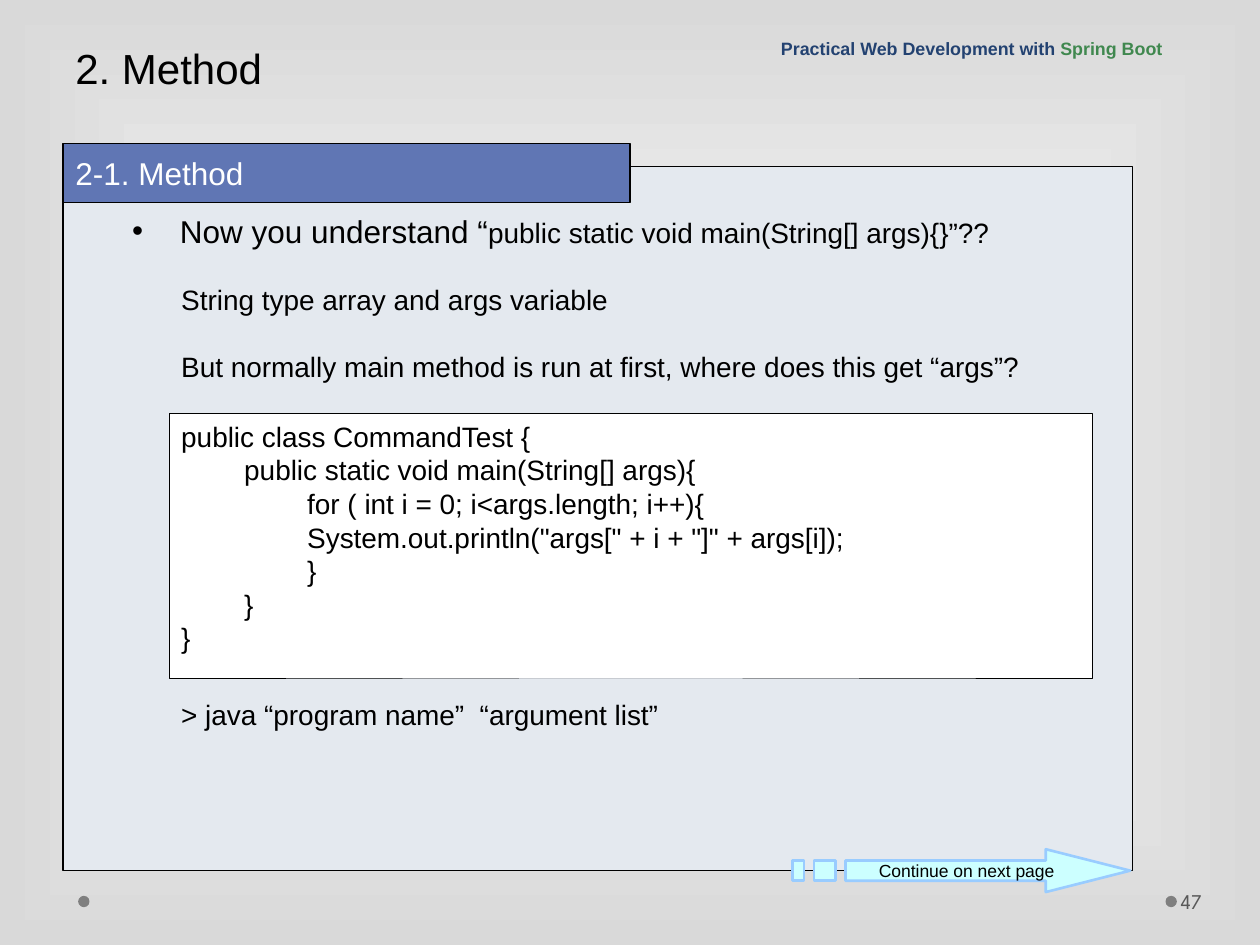
from lxml import etree
from pptx import Presentation
from pptx.dml.color import RGBColor
from pptx.enum.shapes import MSO_SHAPE
from pptx.enum.text import MSO_ANCHOR, PP_ALIGN
from pptx.oxml.ns import qn
from pptx.util import Inches, Pt

RECTANGLE, OVAL = MSO_SHAPE.RECTANGLE, MSO_SHAPE.OVAL
TOP, MIDDLE, BOTTOM = MSO_ANCHOR.TOP, MSO_ANCHOR.MIDDLE, MSO_ANCHOR.BOTTOM
LEFT, CENTER = PP_ALIGN.LEFT, PP_ALIGN.CENTER

THEME = {
    "font": "Arial", "number_font": "League Spartan",
    "black": "000000", "white": "FFFFFF", "edge": "D9D9D9",
    "dot": "7F7F7F", "number": "595959", "panel": "E4E9EF", "banner": "6076B4",
    "course": "234271", "framework": "40884F",
    "arrow": "CCFFFF", "arrow_line": "99CCFF",
    "title_size": 24, "heading_size": 18, "body_size": 16,
    "number_size": 12, "course_size": 10.2, "arrow_size": 10,
    "leading": 1.2,
}

TITLE = "2. Method"
HEADING = "2-1. Method"
PAGE_NUMBER = "47"
COURSE = [("Practical Web Development with ", "course"), ("Spring Boot", "framework")]
QUESTION = [("Now you understand “", "heading_size"),
            ("public static void main(String[] args){}”??", "body_size")]
NOTES = ["String type array and args variable",
         "But normally main method is run at first, where does this get “args”?"]
CODE = [
    "public class CommandTest {",
    "\tpublic static void main(String[] args){",
    "\t\tfor ( int i = 0; i<args.length; i++){",
    "\t\tSystem.out.println(\"args[\" + i + \"]\" + args[i]);",
    "\t\t}",
    "\t}",
    "}",
]
COMMAND = "> java “program name”  “argument list”"
CONTINUE = "Continue on next page"

DOT_LEFTS = [0.62, 9.25]
ARROW_HEAD = [(8.3, 6.74), (8.3, 6.83), (6.71, 6.83), (6.71, 6.99),
              (8.3, 6.99), (8.3, 7.08), (8.97, 6.91)]
ARROW_STRIPES = [(6.46, 6.63), (6.29, 6.38)]
STRIPE_TOP, STRIPE_BOTTOM = 6.83, 6.99


def color(name):
    return RGBColor.from_string(THEME[name])


def paint(shape, fill, line=None, width=0.75):
    shape.shadow.inherit = False
    shape.fill.solid()
    shape.fill.fore_color.rgb = color(fill)
    if line:
        shape.line.color.rgb = color(line)
        shape.line.width = Pt(width)
    else:
        shape.line.fill.background()
    return shape


def add_panel(page, kind, at, *style):
    return paint(page.shapes.add_shape(kind, *map(Inches, at)), *style)


def add_box(page, *at):
    return page.shapes.add_textbox(*map(Inches, at))


def style_span(span, size, tint="black", font="font", bold=False):
    span.font.name = THEME[font]
    span.font.size = Pt(THEME[size])
    span.font.color.rgb = color(tint)
    span.font.bold = bold


def write(shape, lines, size, anchor=TOP, align=LEFT, gap=0, leading=True, **look):
    frame = shape.text_frame
    frame.word_wrap = True
    frame.vertical_anchor = anchor
    frame.text = "\n".join(lines)
    for index, para in enumerate(frame.paragraphs):
        para.alignment = align
        if leading:
            para.line_spacing = Pt(THEME[size] * THEME["leading"])
        if index and gap:
            para.space_before = Pt(gap)
        for span in para.runs:
            style_span(span, size, **look)
    return frame


def add_tab_stops(frame, step, count):
    for para in frame.paragraphs:
        stops = etree.SubElement(para._p.get_or_add_pPr(), qn("a:tabLst"))
        for number in range(1, count + 1):
            etree.SubElement(stops, qn("a:tab"), pos=str(Inches(step * number)), algn="l")


def add_bullet(para, indent):
    properties = para._p.get_or_add_pPr()
    properties.set("marL", str(Inches(indent)))
    properties.set("indent", str(-Inches(indent)))
    tint = etree.SubElement(properties, qn("a:buClr"))
    etree.SubElement(tint, qn("a:srgbClr"), val=THEME["black"])
    etree.SubElement(properties, qn("a:buFont"), typeface=THEME["font"])
    etree.SubElement(properties, qn("a:buChar"), char="•")


def set_background(page):
    page.background.fill.gradient()
    gradient = page._element.find(".//" + qn("a:gradFill"))
    for child in list(gradient):
        gradient.remove(child)
    stops = etree.SubElement(gradient, qn("a:gsLst"))
    for position, tint in ((0, "white"), (100000, "edge")):
        stop = etree.SubElement(stops, qn("a:gs"), pos=str(position))
        etree.SubElement(stop, qn("a:srgbClr"), val=THEME[tint])
    shade = etree.SubElement(gradient, qn("a:path"), {"path": "rect"})
    etree.SubElement(shade, qn("a:fillToRect"), {side: "50000" for side in "ltrb"})


def add_arrow(page):
    stripes = [[(left, STRIPE_TOP), (left, STRIPE_BOTTOM),
                (right, STRIPE_BOTTOM), (right, STRIPE_TOP)]
               for left, right in ARROW_STRIPES]
    head, *others = [[(Inches(x), Inches(y)) for x, y in outline]
                     for outline in [ARROW_HEAD, *stripes]]
    builder = page.shapes.build_freeform(*head[0])
    builder.add_line_segments(head[1:], close=True)
    for outline in others:
        builder.move_to(*outline[0])
        builder.add_line_segments(outline[1:], close=True)
    arrow = paint(builder.convert_to_shape(), "arrow", "arrow_line", 1.5)
    frame = write(arrow, [CONTINUE], "arrow_size", MIDDLE, CENTER, leading=False)
    frame.margin_left = Inches(0.18)


def main():
    deck = Presentation()
    deck.slide_width, deck.slide_height = Inches(10), Inches(7.5)
    page = deck.slides.add_slide(deck.slide_layouts[6])
    set_background(page)

    for left in DOT_LEFTS:
        add_panel(page, OVAL, (left, 7.11, 0.09, 0.09), "dot")
    add_panel(page, RECTANGLE, (0.5, 1.32, 8.49, 5.59), "panel", "black")

    number = write(add_box(page, 9.34, 6.95, 0.61, 0.4), [PAGE_NUMBER], "number_size",
                   MIDDLE, leading=False, tint="number", font="number_font")
    number.margin_left, number.margin_right = Inches(0.03), Inches(0.05)
    write(add_box(page, 0.5, 0, 9, 0.79), [TITLE], "title_size", BOTTOM, leading=False)
    banner = add_panel(page, RECTANGLE, (0.5, 1.14, 4.5, 0.47), "banner", "black")
    write(banner, [HEADING], "heading_size", MIDDLE, leading=False, tint="white")

    course = write(add_box(page, 6.1, 0.24, 3.9, 0.28), [""], "course_size", BOTTOM,
                   leading=False).paragraphs[0]
    for text, tint in COURSE:
        span = course.add_run()
        span.text = text
        style_span(span, "course_size", tint, bold=True)

    question = write(add_box(page, 0.95, 1.63, 7.52, 0.5), [""],
                     "heading_size").paragraphs[0]
    add_bullet(question, 0.38)
    for text, size in QUESTION:
        span = question.add_run()
        span.text = text
        style_span(span, size)

    listing = add_panel(page, RECTANGLE, (1.34, 3.28, 7.33, 2.1), "white", "black", 0.25)
    add_tab_stops(write(listing, CODE, "body_size"), 0.5, 7)
    write(add_box(page, 1.34, 2.19, 7.33, 0.9), NOTES, "body_size",
          gap=THEME["body_size"] * THEME["leading"])
    add_arrow(page)
    write(add_box(page, 1.34, 5.49, 7.33, 0.37), [COMMAND], "body_size")

    deck.save("out.pptx")


if __name__ == "__main__":
    main()
